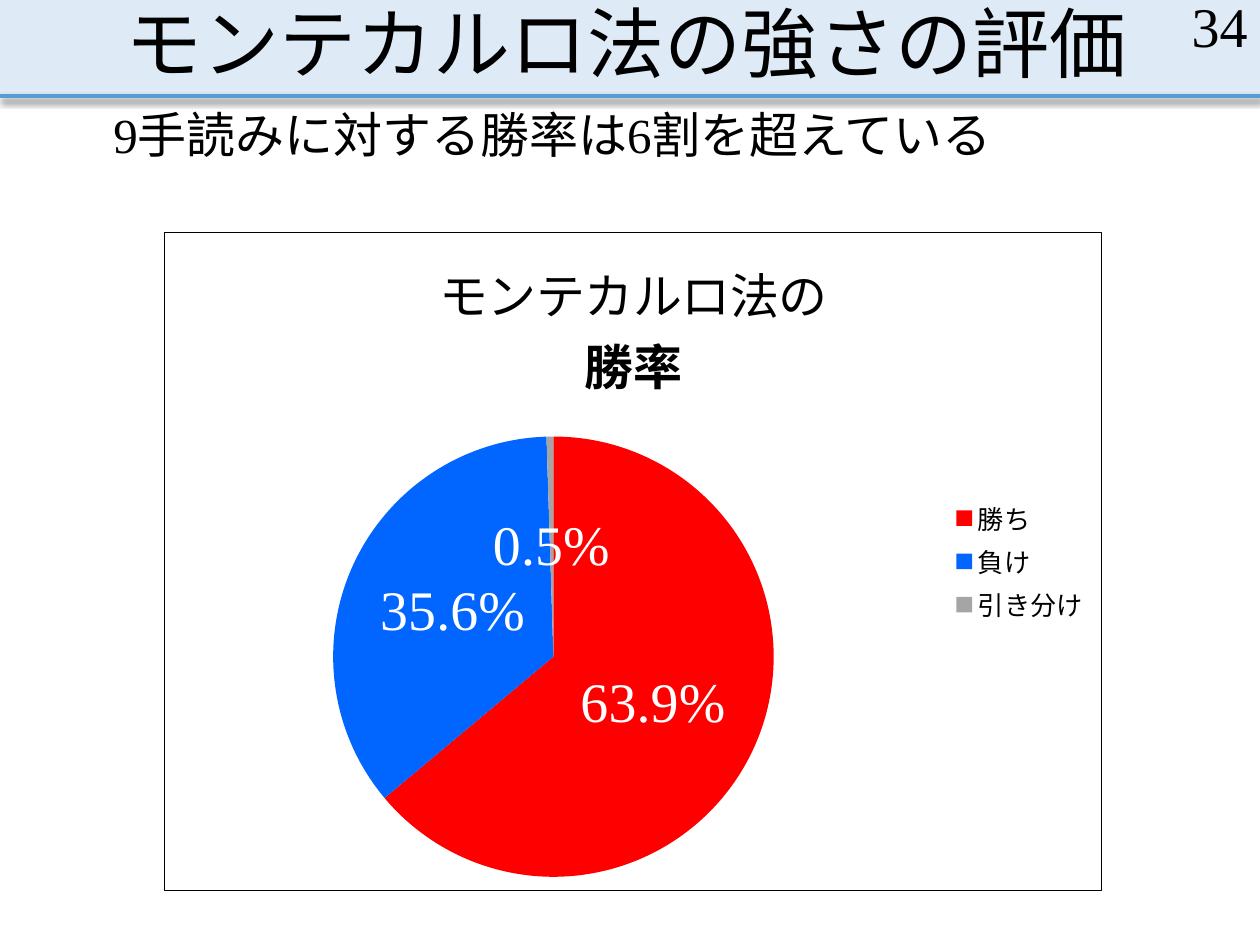
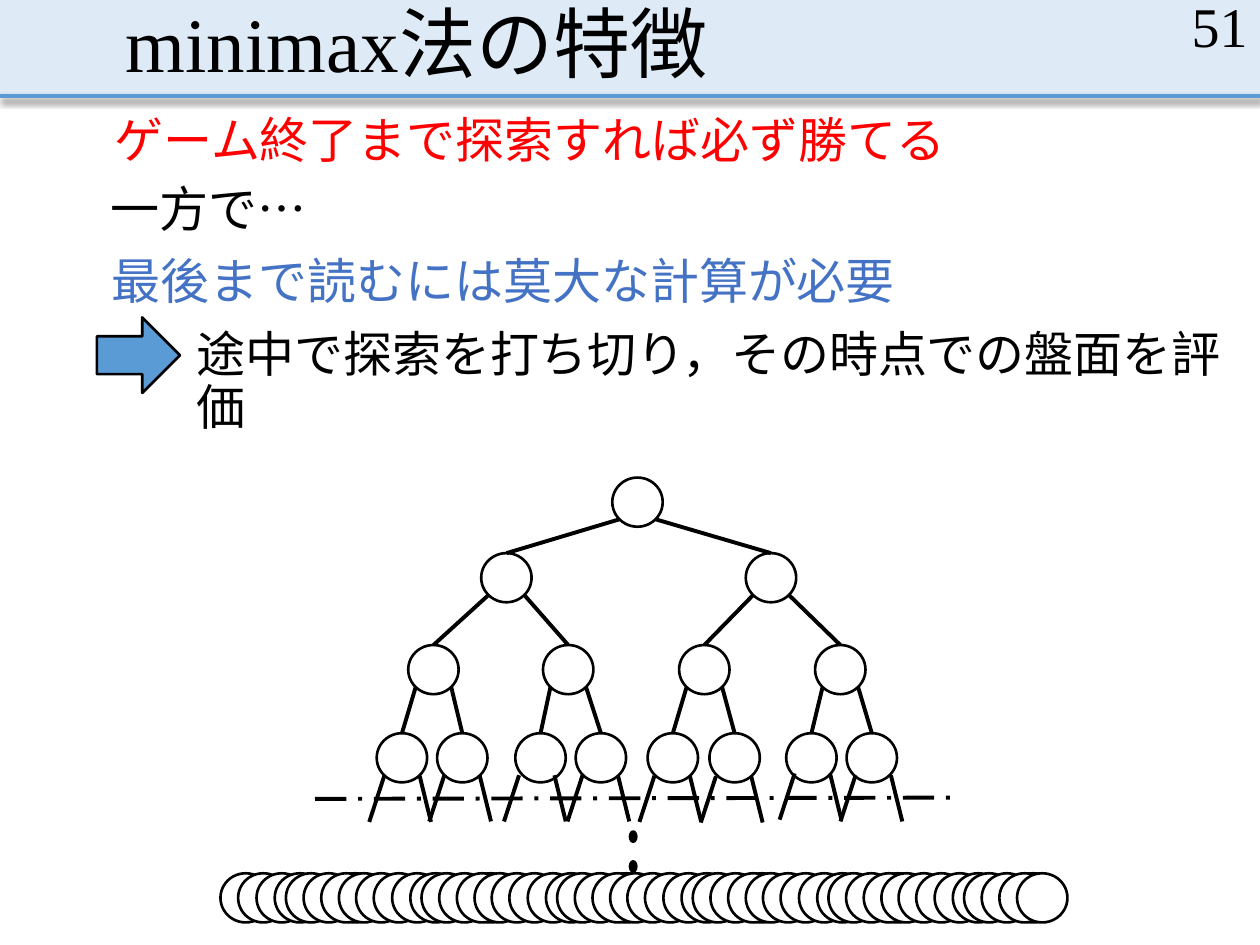
"""Build two slides on the strength of game search methods."""
from lxml import etree
from pptx import Presentation
from pptx import util as u
from pptx.chart.data import CategoryChartData
from pptx.dml.color import RGBColor
from pptx.enum import chart as ch, dml, shapes, text
from pptx.oxml import parse_xml
from pptx.oxml.ns import qn, nsdecls

FACE = "Times New Roman"
BLACK, WHITE, BAND, BLUE = "000000", "FFFFFF", "DEEBF7", "5B9BD5"
RED, NAVY = "FF0000", "4472C4"

PIE = {
    "head": [("モンテカルロ法の", False), ("勝率", True)],
    "parts": [("勝ち", 63.9, "FF0000"), ("負け", 35.6, "0066FF"), ("引き分け", 0.5, "A5A5A5")],
    "box": (93.6, 132.5, 536.4, 376.6),
    "plot": {"x": 0.18, "y": 0.31, "w": 0.47, "h": 0.67},
}
WINS = [("9手読みに対する勝率は6割を超えている", BLACK, (64.8, 59.8, 627.8, 72.7))]
TRAITS = [
    ("ゲーム終了まで探索すれば必ず勝てる", RED, (65.5, 62.6, 478, 41.8)),
    ("最後まで読むには莫大な計算が必要", NAVY, (64, 143.3, 450.7, 38.2)),
    ("一方で…", BLACK, (63.4, 102.2, 450.7, 38.2)),
    ("途中で探索を打ち切り，その時点での盤面を評価", BLACK, (112.3, 185, 607.7, 39.6)),
]
TREE = [
    (272.9, [364.3]),
    (316.1, [289.4, 440.6]),
    (368.6, [247.7, 324.7, 402.5, 480.2]),
    (419, [229.7, 264.2, 308.9, 343.4, 384.5, 419.8, 463.7, 498.2]),
]
STUBS = [(229.7, 443.3), (264, 443), (306.7, 443), (343, 443),
         (384.1, 443.3), (419.2, 443.6), (464.2, 442), (499, 443)]
NODE = (28.8, 28.1)
ROW = {"x": 126, "y": 499, "step": 77.5, "sets": 6,
       "gaps": [0, 10.1, 62.6, 20.6, 31, 37.4, 47.5, 57.6, 67.7]}
DOTS = [475.2, 492.2, 509]


def rgb(code):
    return RGBColor.from_string(code)


def pts(*vals):
    return [u.Pt(v) for v in vals]


def style(font, size, color, bold=False):
    font.name, font.size, font.bold = FACE, u.Pt(size), bold
    font.color.rgb = rgb(color)


def write(page, words, box, size, color=BLACK, side=7.2, anchor="TOP", align="LEFT", lead=0.9):
    frame = page.shapes.add_textbox(*pts(*box)).text_frame
    frame.word_wrap = True
    frame.margin_left = frame.margin_right = u.Pt(side)
    frame.margin_top = frame.margin_bottom = u.Pt(3.6)
    frame.vertical_anchor = text.MSO_ANCHOR[anchor]
    para = frame.paragraphs[0]
    para.line_spacing, para.alignment = lead, text.PP_ALIGN[align]
    run = para.add_run()
    run.text = words
    style(run.font, size, color)


def draw(page, kind, box, fill, edge=BLACK):
    item = page.shapes.add_shape(shapes.MSO_SHAPE[kind], *pts(*box))
    item.shadow.inherit = False
    item.fill.solid()
    item.fill.fore_color.rgb = rgb(fill)
    if edge:
        item.line.color.rgb, item.line.width = rgb(edge), u.Pt(1.5)
    else:
        item.line.fill.background()


def link(page, ends, color=BLACK, dash=None):
    line = page.shapes.add_connector(shapes.MSO_CONNECTOR.STRAIGHT, *pts(*ends))
    line.line.color.rgb, line.line.width = rgb(color), u.Pt(2.25)
    if dash:
        line.line.dash_style = dash
    return etree.SubElement(line._element.spPr, qn("a:effectLst"))


def start(deck, title, num, lines):
    page = deck.slides.add_slide(deck.slide_layouts[6])
    draw(page, "RECTANGLE", (0, 0, 720, 54.7), BAND, None)
    glow = link(page, (0, 54.7, 720, 54.7), BLUE)
    glow.append(parse_xml(
        f'<a:outerShdw {nsdecls("a")} blurRad="{u.Pt(4)}" dist="{u.Pt(2.5)}" dir="5400000" '
        f'rotWithShape="0"><a:srgbClr val="{BLACK}"><a:alpha val="47000"/></a:srgbClr></a:outerShdw>'))
    write(page, title, (64.8, 0, 594, 54.7), 44, anchor="BOTTOM")
    write(page, num, (558, 0, 162, 28.8), 32, anchor="MIDDLE", align="RIGHT", lead=1)
    for words, color, box in lines:
        write(page, words, box, 28, color, side=0)
    return page


def add_pie(page):
    data = CategoryChartData()
    data.categories = [name for name, _, _ in PIE["parts"]]
    data.add_series("Series 1", [val for _, val, _ in PIE["parts"]])
    pie = page.shapes.add_chart(ch.XL_CHART_TYPE.PIE, *pts(*PIE["box"]), data).chart
    style(pie.font, 10, BLACK)
    head = pie.chart_title.text_frame
    for i, (words, bold) in enumerate(PIE["head"]):
        para = head.add_paragraph() if i else head.paragraphs[0]
        run = para.add_run()
        run.text = words
        style(run.font, 28, BLACK, bold)
    pie.has_legend = True
    pie.legend.position = ch.XL_LEGEND_POSITION.RIGHT
    pie.legend.include_in_layout = False
    style(pie.legend.font, 15, BLACK)
    plot = pie.plots[0]
    plot.vary_by_categories = True
    for i, (_, _, color) in enumerate(PIE["parts"]):
        fill = plot.series[0].points[i].format.fill
        fill.solid()
        fill.fore_color.rgb = rgb(color)
    tags = plot.series[0].data_labels
    tags.show_value, tags.show_percentage = False, True
    tags.number_format, tags.number_format_is_linked = "0.0%", False
    tags.position = ch.XL_LABEL_POSITION.CENTER
    style(tags.font, 32, WHITE)
    frame_pie(pie.element)


def frame_pie(root):
    area = root.find(".//" + qn("c:plotArea"))
    for old in area.findall(qn("c:layout")):
        area.remove(old)
    marks = '<c:layoutTarget val="inner"/><c:xMode val="edge"/><c:yMode val="edge"/>'
    marks += "".join(f'<c:{key} val="{val}"/>' for key, val in PIE["plot"].items())
    area.insert(0, parse_xml(
        f'<c:layout {nsdecls("c")}><c:manualLayout>{marks}</c:manualLayout></c:layout>'))
    root.find(qn("c:chart")).addnext(parse_xml(
        f'<c:spPr {nsdecls("c", "a")}><a:ln w="{u.Pt(0.75)}"><a:solidFill>'
        f'<a:srgbClr val="{BLACK}"/></a:solidFill></a:ln></c:spPr>'))


def add_tree(page):
    wide = NODE[0]
    for top, mids in TREE:
        for mid in mids:
            draw(page, "OVAL", (mid - wide / 2, top, *NODE), WHITE)
    for (top, mids), (low, kids) in zip(TREE, TREE[1:]):
        for i, kid in enumerate(kids):
            side = 10.1 if i % 2 else -10.1
            link(page, (mids[i // 2] + side, top + 23.8, kid, low))
    for y in DOTS:
        draw(page, "OVAL", (360, y, 3.6, 5.8), BLACK)
    for mid, y in STUBS:
        link(page, (mid - 10.1, y, mid - 18.7, y + 26.4))
        link(page, (mid + 10.1, y, mid + 16.6, y + 26.4))
    for i in range(ROW["sets"]):
        for gap in ROW["gaps"]:
            draw(page, "OVAL", (ROW["x"] + i * ROW["step"] + gap, ROW["y"], *NODE), WHITE)


def main():
    deck = Presentation()
    deck.slide_width, deck.slide_height = pts(720, 540)
    add_pie(start(deck, "モンテカルロ法の強さの評価", "34", WINS))
    page = start(deck, "minimax法の特徴", "51", TRAITS)
    draw(page, "RIGHT_ARROW", (55.4, 181.4, 47.5, 43.2), BLUE)
    link(page, (180, 456.5, 543.6, 455.8), dash=dml.MSO_LINE.LONG_DASH_DOT)
    add_tree(page)
    deck.save("out.pptx")


if __name__ == "__main__":
    main()
